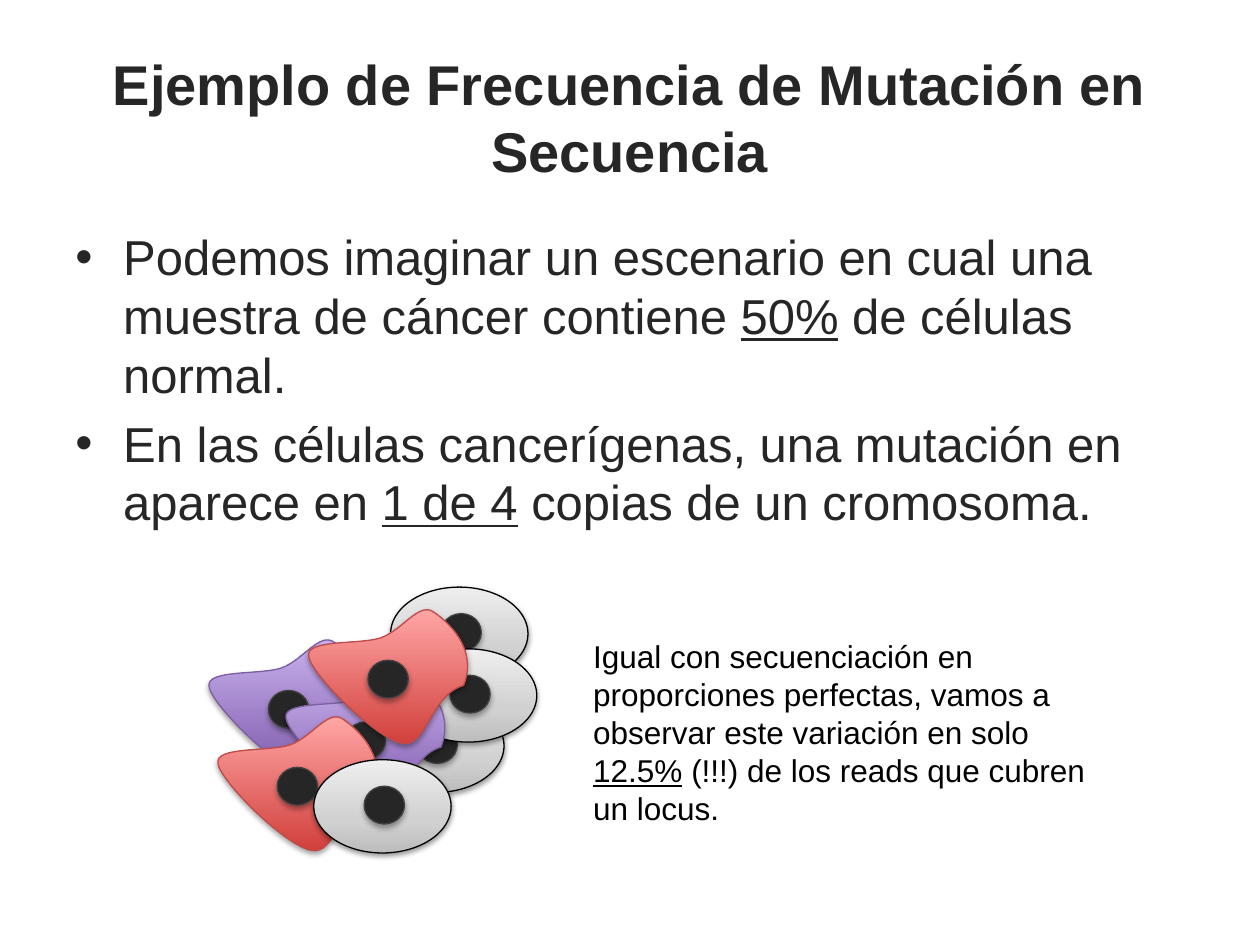
from dataclasses import dataclass
from typing import NamedTuple

from lxml import etree
from pptx import Presentation
from pptx.dml.color import RGBColor
from pptx.enum.shapes import MSO_SHAPE
from pptx.enum.text import MSO_ANCHOR, MSO_AUTO_SIZE, PP_ALIGN
from pptx.oxml.ns import qn
from pptx.util import Inches, Pt

OVAL = MSO_SHAPE.OVAL
TOP, MIDDLE = MSO_ANCHOR.TOP, MSO_ANCHOR.MIDDLE
LEFT, CENTER = PP_ALIGN.LEFT, PP_ALIGN.CENTER
FIXED, GROW = MSO_AUTO_SIZE.NONE, MSO_AUTO_SIZE.SHAPE_TO_FIT_TEXT


class Shade(NamedTuple):
    alpha: int
    dist: float


class Paint(NamedTuple):
    stops: tuple[tuple[int, str], ...]
    line: str
    shade: Shade


SOFT, DENSE = Shade(35, 1.8), Shade(38, 1.6)


@dataclass(frozen=True)
class Theme:
    font: str = "Arial"
    title: float = 32
    body: float = 28
    note: float = 18
    dark: str = "262626"
    black: str = "000000"
    edge: float = 0.75
    gray: Paint = Paint(((0, "BDBDBD"), (35, "D1D1D1"), (100, "EEEEEE")), "000000", DENSE)
    purple: Paint = Paint(((0, "7F5BAB"), (100, "C8B0ED")), "7D60A0", SOFT)
    red: Paint = Paint(((0, "D1403C"), (100, "FFA6A5")), "BF4C48", SOFT)
    core: Paint = Paint(((0, "262626"),), "404040", SOFT)


THEME = Theme()


class Cell(NamedTuple):
    left: float
    top: float
    paint: Paint


class Run(NamedTuple):
    text: str
    under: bool = False


class Block(NamedTuple):
    box: tuple[float, float, float, float]
    paras: list[list[Run]]
    size: float
    color: str
    bold: bool = False
    align: PP_ALIGN = LEFT
    anchor: MSO_ANCHOR = TOP
    fit: MSO_AUTO_SIZE = FIXED
    bullet: bool = False


CELLS = [
    Cell(3.1, 4.66, THEME.gray),
    Cell(1.66, 5.08, THEME.purple),
    Cell(2.91, 5.55, THEME.gray),
    Cell(3.17, 5.15, THEME.gray),
    Cell(2.27, 5.33, THEME.purple),
    Cell(2.45, 4.84, THEME.red),
    Cell(1.73, 5.69, THEME.red),
    Cell(2.49, 6.03, THEME.gray),
]

# Outline of a cancer cell: a start point, then cubic curves (two handles, end).
BLOB = (1.26, 1.06)
START = (0, 0.37)
CURVES = [
    ((-0.03, 0.23), (0.42, 0.28), (0.58, 0.22)),
    ((0.74, 0.16), (0.87, -0.05), (0.98, 0.01)),
    ((1.09, 0.08), (1.35, 0.3), (1.23, 0.6)),
    ((0.96, 0.68), (0.94, 1.1), (0.74, 1.06)),
    ((0.53, 1.02), (0.02, 0.51), START),
]

BLOCKS = [
    Block((0.5, 0.3, 9, 1.25), [[Run("Ejemplo de Frecuencia de Mutación en Secuencia")]],
          THEME.title, THEME.dark, bold=True, align=CENTER, anchor=MIDDLE),
    Block((0.5, 1.75, 9, 4.95), [
        [Run("Podemos imaginar un escenario en cual una muestra de cáncer contiene "),
         Run("50%", True), Run(" de células normal.")],
        [Run("En las células cancerígenas, una mutación en aparece en "),
         Run("1 de 4", True), Run(" copias de un cromosoma.")],
    ], THEME.body, THEME.dark, bullet=True),
    Block((4.61, 5.01, 4.34, 1.62), [
        [Run("Igual con secuenciación en proporciones perfectas, vamos a observar "
             "este variación en solo "),
         Run("12.5%", True), Run(" (!!!) de los reads que cubren un locus.")],
    ], THEME.note, THEME.black, fit=GROW),
]


def add_tag(parent, name: str, **attrs):
    return etree.SubElement(parent, qn(name), {k: str(v) for k, v in attrs.items()})


def add_color(parent, color: str):
    return add_tag(parent, "a:srgbClr", val=color)


def coat(shape, paint: Paint) -> None:
    """Give a shape its fill, edge and shadow."""
    if len(paint.stops) == 1:
        shape.fill.solid()
        shape.fill.fore_color.rgb = RGBColor.from_string(paint.stops[0][1])
    else:
        shape.fill.gradient()
        shape.fill.gradient_angle = 90
        stops = shape.element.spPr.find(".//" + qn("a:gsLst"))
        stops.clear()
        for pos, color in paint.stops:
            add_color(add_tag(stops, "a:gs", pos=pos * 1000), color)
    shape.line.color.rgb = RGBColor.from_string(paint.line)
    shape.line.width = Pt(THEME.edge)
    shape.shadow.inherit = False
    glow = add_tag(shape.element.spPr.find(qn("a:effectLst")), "a:outerShdw",
                   blurRad=Pt(3.1), dist=Pt(paint.shade.dist), dir=90 * 60000, rotWithShape=0)
    add_tag(add_color(glow, THEME.black), "a:alpha", val=paint.shade.alpha * 1000)


def add_oval(shapes, left: float, top: float, width: float, height: float, paint: Paint) -> None:
    coat(shapes.add_shape(OVAL, *map(Inches, (left, top, width, height))), paint)


def add_blob(shapes, cell: Cell) -> None:
    """Draw a cancer cell and bend its sides into cubic curves."""
    pen = shapes.build_freeform(*map(Inches, START))
    pen.add_line_segments([tuple(map(Inches, end)) for _, _, end in CURVES], close=True)
    shape = pen.convert_to_shape()
    shape.left, shape.top = Inches(cell.left), Inches(cell.top)
    shape.width, shape.height = map(Inches, BLOB)
    trace = shape.element.spPr.find(".//" + qn("a:path"))
    trace.clear()
    trace.set("w", str(shape.width))
    trace.set("h", str(shape.height))
    for name, points in [("a:moveTo", [START]), *(("a:cubicBezTo", curve) for curve in CURVES)]:
        part = add_tag(trace, name)
        for x, y in points:
            add_tag(part, "a:pt", x=Inches(x), y=Inches(y))
    add_tag(trace, "a:close")
    coat(shape, cell.paint)


def add_cell(shapes, cell: Cell) -> None:
    if cell.paint is THEME.gray:
        add_oval(shapes, cell.left, cell.top, 1.09, 0.74, cell.paint)
        shift = (0.4, 0.21)
    else:
        add_blob(shapes, cell)
        shift = (0.47, 0.4)
    add_oval(shapes, cell.left + shift[0], cell.top + shift[1], 0.32, 0.3, THEME.core)


def add_block(shapes, block: Block) -> None:
    frame = shapes.add_textbox(*map(Inches, block.box)).text_frame
    frame.word_wrap = True
    frame.auto_size = block.fit
    frame.vertical_anchor = block.anchor
    for index, runs in enumerate(block.paras):
        para = frame.add_paragraph() if index else frame.paragraphs[0]
        para.alignment = block.align
        if index:
            para.space_before = Pt(block.size * 0.2)
        if block.bullet:
            props = para._p.get_or_add_pPr()
            props.set("marL", str(Inches(0.38)))
            props.set("indent", str(Inches(-0.38)))
            add_tag(props, "a:buFont", typeface=THEME.font)
            add_tag(props, "a:buChar", char="•")
        font = para.font
        font.name, font.size, font.bold = THEME.font, Pt(block.size), block.bold
        font.color.rgb = RGBColor.from_string(block.color)
        for part in runs:
            run = para.add_run()
            run.text = part.text
            if part.under:
                run.font.underline = True


def main() -> None:
    deck = Presentation()
    deck.slide_width, deck.slide_height = Inches(10), Inches(7.5)
    shapes = deck.slides.add_slide(deck.slide_layouts[6]).shapes
    back, *front = CELLS
    title, body, note = BLOCKS
    add_cell(shapes, back)
    add_block(shapes, title)
    add_block(shapes, body)
    group = shapes.add_group_shape().shapes
    for cell in front:
        add_cell(group, cell)
    add_block(shapes, note)
    deck.save("out.pptx")


if __name__ == "__main__":
    main()
